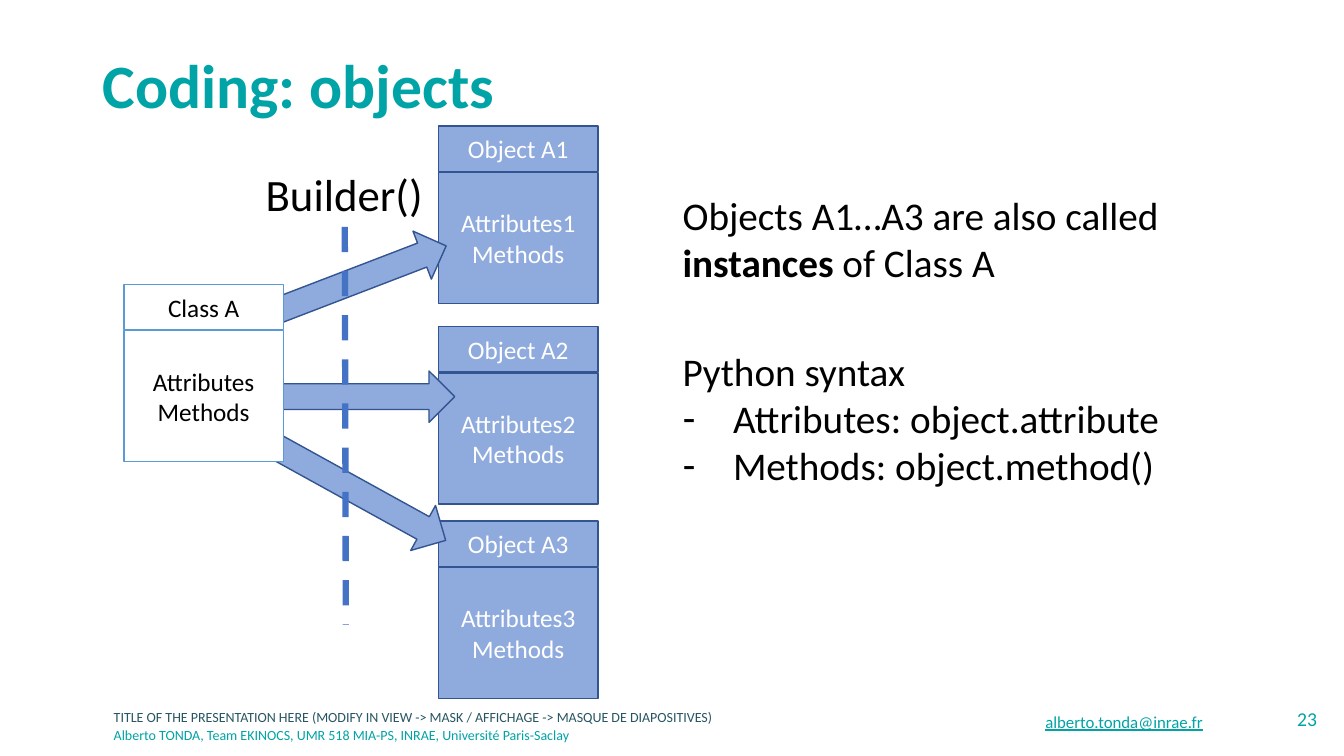
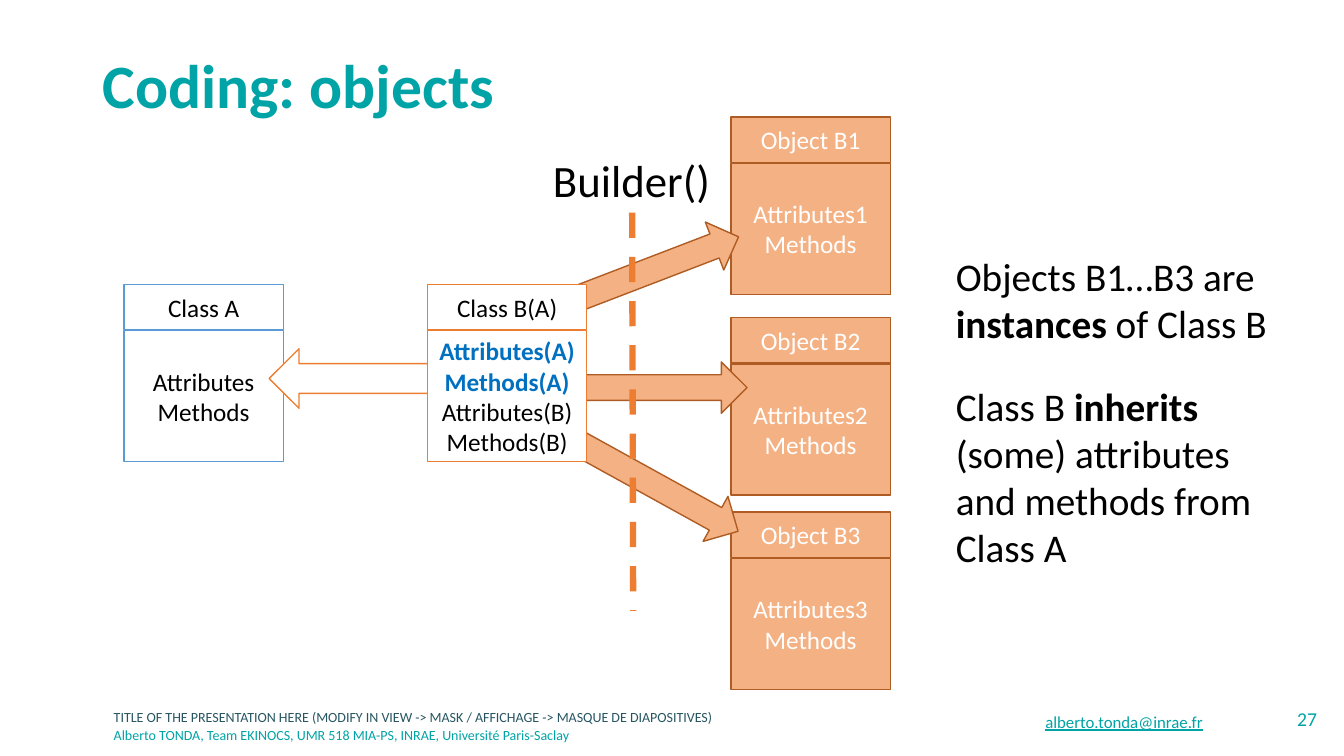
import pptx
import pptx.util
import pptx.dml.color
import pptx.enum.dml
import pptx.enum.shapes
import pptx.enum.text
import pptx.oxml.ns
from lxml import etree

RGB = pptx.dml.color.RGBColor
ALIGN = pptx.enum.text.PP_ALIGN
ANCHOR = pptx.enum.text.MSO_ANCHOR
SHAPE = pptx.enum.shapes.MSO_SHAPE

TEAL = RGB(0x00, 0xA3, 0xA6)
DARK_TEAL = RGB(0x27, 0x56, 0x62)
BLACK = RGB(0, 0, 0)
WHITE = RGB(0xFF, 0xFF, 0xFF)
BLUE_FILL = RGB(0x8F, 0xAA, 0xDC)
BLUE_EDGE = RGB(0x32, 0x54, 0x91)
BLUE = RGB(0x44, 0x72, 0xC4)
SKY = RGB(0x5B, 0x9B, 0xD5)
ORANGE_FILL = RGB(0xF4, 0xB1, 0x83)
ORANGE_EDGE = RGB(0xAF, 0x5C, 0x24)
ORANGE = RGB(0xED, 0x7D, 0x31)
INHERITED = RGB(0x00, 0x70, 0xC0)

FONT = "Calibri"
EMU_PER_PX = 9144
CARD_WIDTH, HEADER_HEIGHT, CARD_BODY_TOP, CARD_BODY_HEIGHT = 158, 45, 46, 130


def px(*lengths):
    return [pptx.util.Emu(length * EMU_PER_PX) for length in lengths]


def place(shape, *box):
    shape.left, shape.top, shape.width, shape.height = px(*box)


def style_para(para, size, color, bold=None, align=ALIGN.LEFT):
    para.alignment = align
    font = para.font
    font.name, font.size, font.bold = FONT, pptx.util.Pt(size), bold
    font.color.rgb = color


def add_label(page, box, text, size, color, align=ALIGN.LEFT, anchor=ANCHOR.TOP):
    label = page.shapes.add_textbox(*px(*box))
    frame = label.text_frame
    frame.word_wrap = True
    frame.vertical_anchor = anchor
    frame.text = text
    style_para(frame.paragraphs[0], size, color, align=align)
    return label


def add_block(page, preset, box, fill, edge):
    block = page.shapes.add_shape(preset, *px(*box))
    block.shadow.inherit = False
    block.fill.solid()
    block.fill.fore_color.rgb = fill
    block.line.color.rgb = edge
    block.line.width = pptx.util.Pt(1)
    return block


def add_card(page, left, top, name, members, fill, edge, color, inherited=()):
    body_box = (left, top + CARD_BODY_TOP, CARD_WIDTH, CARD_BODY_HEIGHT)
    header_box = (left, top, CARD_WIDTH, HEADER_HEIGHT)
    for box, lines in ((body_box, [*inherited, *members]), (header_box, [name])):
        frame = add_block(page, SHAPE.RECTANGLE, box, fill, edge).text_frame
        frame.word_wrap = True
        frame.vertical_anchor = ANCHOR.MIDDLE
        frame.text = "\n".join(lines)
        for para in frame.paragraphs:
            special = para.text in inherited
            style_para(para, 18, INHERITED if special else color, special, ALIGN.CENTER)


def add_class(page, left, top, name, members, edge, inherited=()):
    add_card(page, left, top, name, members, WHITE, edge, BLACK, inherited)


def add_instances(page, left, top, letter, fill, edge):
    for number, offset in enumerate((0, 199, 392), 1):
        members = (f"Attributes{number}", "Methods")
        add_card(page, left, top + offset, f"Object {letter}{number}", members, fill, edge, WHITE)
    for dx, dy, angle in ((-179, 128, 339), (-177, 243, 0), (-174, 339, 28.9)):
        arrow = add_block(page, SHAPE.RIGHT_ARROW, (left + dx, top + dy, 193, 51), fill, edge)
        arrow.rotation = angle


def add_builder(page, left, top, color):
    add_label(page, (left, top, 177, 64), "Builder()", 32, BLACK, ALIGN.CENTER)
    line = page.shapes.add_connector(
        pptx.enum.shapes.MSO_CONNECTOR.STRAIGHT,
        *px(left + 89, top + 64, left + 90, top + 459))
    line.line.color.rgb = color
    line.line.width = pptx.util.Pt(4.5)
    line.line.dash_style = pptx.enum.dml.MSO_LINE.DASH
    etree.SubElement(line._element.spPr, pptx.oxml.ns.qn("a:effectLst"))


def set_bullet(para, mark):
    properties = para._p.get_or_add_pPr()
    indent = px(50)[0] if mark else 0
    properties.set("marL", str(indent))
    properties.set("indent", str(-indent))
    tag = "a:buChar" if mark else "a:buNone"
    bullet = etree.SubElement(properties, pptx.oxml.ns.qn(tag))
    if mark:
        bullet.set("char", mark)


def fill_explanation(page, box, paragraphs):
    body = page.placeholders[1]
    place(body, *box)
    frame = body.text_frame
    frame.auto_size = pptx.enum.text.MSO_AUTO_SIZE.NONE
    for index, (mark, gap, spans) in enumerate(paragraphs):
        para = frame.add_paragraph() if index else frame.paragraphs[0]
        para.space_before = pptx.util.Pt(gap)
        set_bullet(para, mark)
        style_para(para, 28, BLACK)
        for position, text in enumerate(spans):
            span = para.add_run()
            span.text = text
            if position % 2:
                span.font.bold = True


def add_page(deck, number):
    page = deck.slides.add_slide(deck.slide_layouts[1])
    title = page.shapes.title
    place(title, 92, 40, 1150, 95)
    frame = title.text_frame
    frame.text = "Coding: objects"
    frame.auto_size = pptx.enum.text.MSO_AUTO_SIZE.NONE
    frame.vertical_anchor = ANCHOR.MIDDLE
    frame.paragraphs[0].line_spacing = 0.9
    style_para(frame.paragraphs[0], 44, TEAL, True)

    add_label(page, (103, 698, 734, 28),
              "TITLE OF THE PRESENTATION HERE (MODIFY IN VIEW -> MASK / "
              "AFFICHAGE -> MASQUE DE DIAPOSITIVES)", 10, DARK_TEAL)
    add_label(page, (103, 716, 734, 28),
              "Alberto TONDA, Team EKINOCS, UMR 518 MIA-PS, INRAE, "
              "Université Paris-Saclay", 10, TEAL)
    add_label(page, (1214, 696, 102, 40), str(number), 14, TEAL, ALIGN.RIGHT)
    email = add_label(page, (753, 696, 450, 40), "alberto.tonda@inrae.fr", 12, TEAL,
                      ALIGN.RIGHT, ANCHOR.MIDDLE)
    email.text_frame.paragraphs[0].font.underline = True
    return page


def build_instances_page(deck):
    page = add_page(deck, 23)
    add_instances(page, 435, 125, "A", BLUE_FILL, BLUE_EDGE)
    add_class(page, 123, 282, "Class A", ("Attributes", "Methods"), SKY)
    fill_explanation(page, (667, 185, 561, 306), (
        (None, 0, ("Objects A1…A3 are also called ", "instances", " of Class A")),
        (None, 44, ("Python syntax",)),
        ("-", 0, ("Attributes: object.attribute",)),
        ("-", 0, ("Methods: object.method()",)),
    ))
    add_builder(page, 253, 161, BLUE)


def build_inheritance_page(deck):
    page = add_page(deck, 27)
    add_class(page, 123, 282, "Class A", ("Attributes", "Methods"), SKY)
    parent_arrow = add_block(page, SHAPE.RIGHT_ARROW, (267, 346, 170, 59), WHITE, ORANGE)
    parent_arrow.rotation = 180
    add_instances(page, 725, 116, "B", ORANGE_FILL, ORANGE_EDGE)
    add_class(page, 424, 282, "Class B(A)", ("Attributes(B)", "Methods(B)"), ORANGE,
              ("Attributes(A)", "Methods(A)"))
    fill_explanation(page, (938, 245, 343, 328), (
        (None, 0, ("Objects B1…B3 are ", "instances", " of Class B")),
        (None, 26, ("Class B ", "inherits", " (some) attributes and methods from Class A")),
    ))
    add_builder(page, 538, 147, ORANGE)


def main():
    deck = pptx.Presentation()
    deck.slide_width, deck.slide_height = px(1333, 750)
    build_instances_page(deck)
    build_inheritance_page(deck)
    deck.save("out.pptx")


if __name__ == "__main__":
    main()
